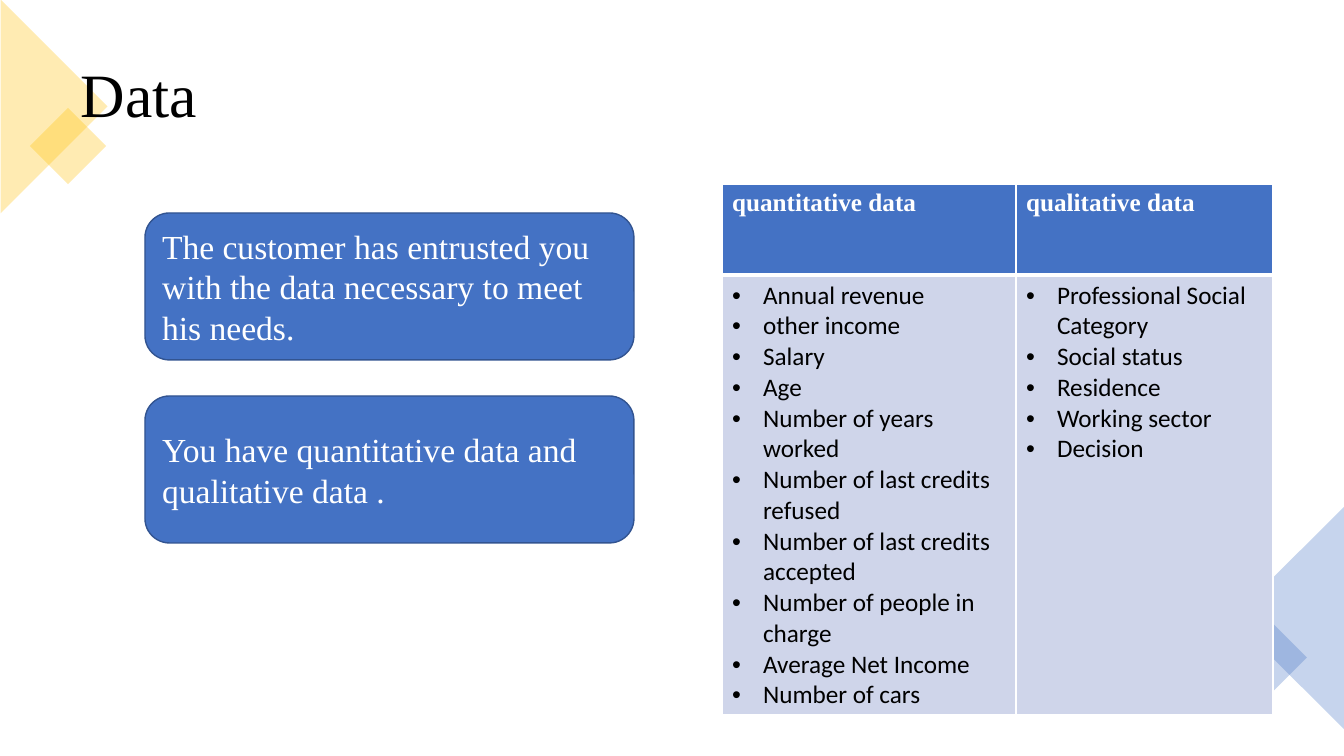
from dataclasses import dataclass
from lxml.etree import SubElement as Sub
from pptx import Presentation
from pptx.dml.color import RGBColor as RGB
from pptx.enum.shapes import MSO_SHAPE as Shape
from pptx.enum.text import MSO_ANCHOR as Anchor, PP_ALIGN as Align
from pptx.oxml.ns import qn
from pptx.util import Emu, Pt


@dataclass(frozen=True)
class Theme:
    blue: str = "4472C4"
    gold: str = "FFC000"
    edge: str = "325491"
    pale: str = "CFD5EA"
    white: str = "FFFFFF"
    black: str = "000000"
    serif: str = "Times New Roman"
    sans: str = "Calibri"
    title: int = 44
    note: int = 24
    cell: int = 18
    alpha: int = 30


T = Theme()
TITLE = "Data"
NOTES = [
    "The customer has entrusted you with the data necessary to meet his needs.",
    "You have quantitative data and qualitative data .",
]
TABLE = {
    "quantitative data": [
        "Annual revenue", "other income", "Salary", "Age",
        "Number of years worked", "Number of last credits refused",
        "Number of last credits accepted", "Number of people in charge",
        "Average Net Income", "Number of cars",
    ],
    "qualitative data": [
        "Professional Social Category", "Social status", "Residence",
        "Working sector", "Decision",
    ],
}
GOLD = [
    (Shape.RECTANGLE, (41, 119, 54, 54), 315),
    (Shape.ISOSCELES_TRIANGLE, (-53, 53, 214, 107), 90),
]
BLUE = [
    (Shape.ISOSCELES_TRIANGLE, (1177, 562, 223, 112), 270),
    (Shape.RECTANGLE, (1243, 631, 53, 53), 45),
]
NOTE_BOX, NOTE_STEP = (145, 213, 489, 147), 183
GRID_AT, COLS, ROWS = (722, 184), (294, 257), (91, 440)
INDENT = 31


def px(n):
    return Emu(round(n * 914400 / 100.8))


def spot(box):
    return [px(n) for n in box]


def paint(fill, color):
    fill.solid()
    fill.fore_color.rgb = RGB.from_string(color)


def write(para, text, size, font, color, bold=False):
    para.alignment = Align.LEFT
    run = para.add_run()
    run.text = text
    run.font.size, run.font.name, run.font.bold = Pt(size), font, bold
    run.font.color.rgb = RGB.from_string(color)


def decor(slide, parts, color):
    for kind, box, turn in parts:
        item = slide.shapes.add_shape(kind, *spot(box))
        item.shadow.inherit = False
        item.rotation = turn
        item.line.fill.background()
        paint(item.fill, color)
        tint = item.fill._xPr.find(qn("a:solidFill"))[0]
        Sub(tint, qn("a:alpha"), val=str(T.alpha * 1000))


def head(slide):
    box = slide.shapes.add_textbox(*spot((71, 35, 1203, 125)))
    frame = box.text_frame
    frame.word_wrap = True
    frame.vertical_anchor = Anchor.MIDDLE
    para = frame.paragraphs[0]
    para.line_spacing = 0.9
    write(para, TITLE, T.title, T.serif, T.black)


def notes(slide):
    left, top, wide, high = NOTE_BOX
    for i, text in enumerate(NOTES):
        box = (left, top + i * NOTE_STEP, wide, high)
        card = slide.shapes.add_shape(Shape.ROUNDED_RECTANGLE, *spot(box))
        card.shadow.inherit = False
        paint(card.fill, T.blue)
        paint(card.line.fill, T.edge)
        card.line.width = Pt(1)
        card.text_frame.word_wrap = True
        card.text_frame.vertical_anchor = Anchor.MIDDLE
        write(card.text_frame.paragraphs[0], text, T.note, T.serif, T.white)


def border(cell, top, base):
    props = cell._tc.get_or_add_tcPr()
    sides = {"L": 1, "R": 1, "T": top, "B": base}
    for i, (side, size) in enumerate(sides.items()):
        line = Sub(props, qn("a:ln" + side), w=str(Pt(size)))
        fill = Sub(line, qn("a:solidFill"))
        Sub(fill, qn("a:srgbClr"), val=T.white)
        props.insert(i, line)


def bullet(para):
    props = para._p.get_or_add_pPr()
    props.set("marL", str(px(INDENT)))
    props.set("indent", str(-px(INDENT)))
    Sub(props, qn("a:buFont"), typeface="Arial")
    Sub(props, qn("a:buChar"), char="•")


def grid(slide):
    box = (*GRID_AT, sum(COLS), sum(ROWS))
    table = slide.shapes.add_table(len(ROWS), len(COLS), *spot(box)).table
    table.first_row = table.horz_banding = False
    for row, high in zip(table.rows, ROWS):
        row.height = px(high)
    for c, (name, items) in enumerate(TABLE.items()):
        table.columns[c].width = px(COLS[c])
        top, body = table.cell(0, c), table.cell(1, c)
        paint(top.fill, T.blue)
        paint(body.fill, T.pale)
        border(top, 1, 3)
        border(body, 3, 1)
        write(top.text_frame.paragraphs[0], name, T.cell, T.serif, T.white, True)
        frame = body.text_frame
        for i, item in enumerate(items):
            para = frame.add_paragraph() if i else frame.paragraphs[0]
            write(para, item, T.cell, T.sans, T.black)
            bullet(para)


def main():
    deck = Presentation()
    deck.slide_width, deck.slide_height = px(1344), px(756)
    slide = deck.slides.add_slide(deck.slide_layouts[6])
    paint(slide.background.fill, T.white)
    decor(slide, GOLD, T.gold)
    head(slide)
    decor(slide, BLUE, T.blue)
    notes(slide)
    grid(slide)
    deck.save("out.pptx")


if __name__ == "__main__":
    main()
